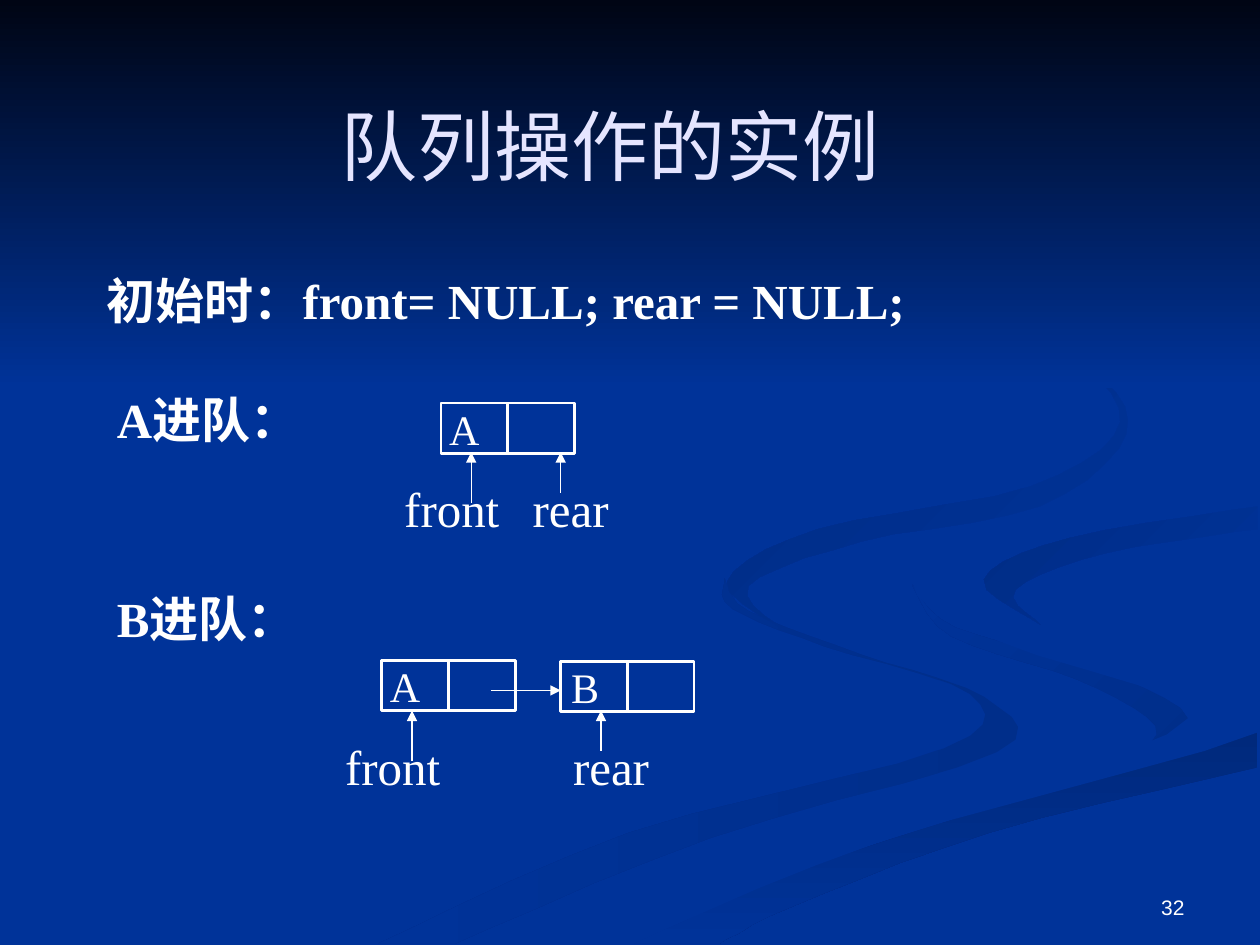
from lxml.etree import SubElement
from pptx import Presentation
from pptx.dml.color import RGBColor
from pptx.enum.shapes import MSO_CONNECTOR, MSO_SHAPE
from pptx.enum.text import MSO_ANCHOR, PP_ALIGN
from pptx.oxml.ns import qn
from pptx.util import Emu, Pt

PIXEL = 9144
WHITE = "FFFFFF"
BLUE = "003399"
SERIF = "Times New Roman"
CELL_WIDTH, CELL_HEIGHT = 53, 40
CURVE_STEPS = 5

POINTERS = {"front": (102, 63, 24), "rear": (94, 32, 16)}

RIBBONS = [
    ("002E8A", BLUE, 180,
     [(575, 459), (594, 485), (682, 519), (781, 553), (791, 597), (564, 665), (361, 749)],
     [(300, 749), (499, 661), (749, 594), (770, 551), (654, 513), (581, 483), (575, 459)]),
    ("002E8A", BLUE, 225,
     [(724, 464), (758, 498), (870, 530), (943, 570), (894, 605)],
     [(894, 605), (917, 576), (854, 539), (755, 505), (724, 464)]),
    ("00297C", BLUE, 90,
     [(503, 749), (630, 693), (797, 638), (998, 581)],
     [(998, 609), (785, 661), (630, 719), (571, 749)]),
    (BLUE, BLUE, 0,
     [(999, 387), (808, 417), (725, 464), (793, 509), (943, 570), (743, 643), (477, 749)],
     [(503, 749), (696, 669), (999, 581), (999, 538), (804, 485), (811, 437), (999, 402)]),
    (BLUE, "002C85", 225,
     [(998, 402), (849, 427), (781, 460), (826, 496)],
     [(826, 496), (806, 468), (878, 439), (998, 420)]),
    (BLUE, "002B81", 225,
     [(762, 233), (864, 291), (894, 344), (825, 402), (683, 430), (594, 465), (622, 500)],
     [(622, 500), (577, 462), (649, 420), (818, 386), (889, 335), (846, 279), (762, 233)]),
]


def px(length):
    return Emu(length * PIXEL)


def color(value):
    return RGBColor.from_string(value)


def smooth_curve(knots):
    padded = [knots[0], *knots, knots[-1]]
    points = []
    for before, start, end, after in zip(padded, padded[1:], padded[2:], padded[3:]):
        for step in range(CURVE_STEPS):
            t = step / CURVE_STEPS
            points.append(tuple(
                round(b + t * ((c - a) + t * (2 * a - 5 * b + 4 * c - d
                                             + t * (3 * b - 3 * c + d - a))) / 2)
                for a, b, c, d in zip(before, start, end, after)))
    return points + [knots[-1]]


def format_text(shape, text, size, font=SERIF, fill=WHITE, bold=False,
                align=PP_ALIGN.LEFT, anchor=MSO_ANCHOR.TOP):
    frame = shape.text_frame
    frame.word_wrap = True
    frame.vertical_anchor = anchor
    para = frame.paragraphs[0]
    para.text = text
    para.alignment = align
    para.font.size = Pt(size)
    para.font.name = font
    para.font.bold = bold
    para.font.color.rgb = color(fill)


def add_text(page, box, text, size, **style):
    shape = page.shapes.add_textbox(*map(px, box))
    format_text(shape, text, size, **style)
    return shape


def add_arrow(page, start, end):
    arrow = page.shapes.add_connector(
        MSO_CONNECTOR.STRAIGHT, *map(px, (*start, *end)))
    arrow.line.color.rgb = color(WHITE)
    arrow.line.width = Pt(0.75)
    SubElement(arrow.line._get_or_add_ln(), qn("a:tailEnd"), type="triangle")
    SubElement(arrow.element.spPr, qn("a:effectLst"))


def paint_gradient(shape, first, last, angle):
    shape.shadow.inherit = False
    shape.line.fill.background()
    shape.fill.gradient()
    shape.fill.gradient_angle = (360 - angle) % 360
    for stop, value in zip(shape.fill.gradient_stops, (first, last)):
        stop.color.rgb = color(value)


def add_ribbon(page, first, last, angle, outer_edge, inner_edge):
    points = smooth_curve(outer_edge) + smooth_curve(inner_edge)
    builder = page.shapes.build_freeform(*points[0], scale=PIXEL)
    builder.add_line_segments(points[1:], close=True)
    paint_gradient(builder.convert_to_shape(), first, last, angle)


def add_backdrop(page):
    page.background.fill.solid()
    page.background.fill.fore_color.rgb = color(BLUE)
    for ribbon in RIBBONS:
        add_ribbon(page, *ribbon)
    band = page.shapes.add_shape(MSO_SHAPE.RECTANGLE, *map(px, (0, 0, 1000, 308)))
    paint_gradient(band, "000514", BLUE, 90)


def add_title(page, box, text):
    title = page.shapes.title
    title.left, title.top, title.width, title.height = map(px, box)
    format_text(title, text, 44, fill="E5E5FF", align=PP_ALIGN.CENTER,
                anchor=MSO_ANCHOR.MIDDLE)
    title.element.getparent().append(title.element)


def add_node(page, left, top, letter):
    for column in range(2):
        cell = page.shapes.add_shape(
            MSO_SHAPE.RECTANGLE, px(left + column * CELL_WIDTH), px(top),
            px(CELL_WIDTH), px(CELL_HEIGHT))
        cell.shadow.inherit = False
        cell.fill.background()
        cell.line.color.rgb = color(WHITE)
        cell.line.width = Pt(1.5)
    label = add_text(page, (left, top, 55, CELL_HEIGHT), f" {letter}", 24)
    frame = label.text_frame
    frame.margin_left = frame.margin_right = 0
    frame.margin_top = frame.margin_bottom = 0


def add_pointer(page, left, top, name):
    width, stem, tail = POINTERS[name]
    add_text(page, (left, top, width, 57), name, 28)
    add_arrow(page, (left + stem, top + tail), (left + stem, top - 16))


def add_first_queue(page, left, top):
    add_node(page, left + 39, top, "A")
    add_pointer(page, left, top + 55, "front")
    add_pointer(page, left + 102, top + 55, "rear")


def add_second_queue(page, left, top):
    add_node(page, left + 39, top, "A")
    add_node(page, left + 181, top + 1, "B")
    add_pointer(page, left, top + 56, "front")
    add_pointer(page, left + 181, top + 56, "rear")
    add_arrow(page, (left + 126, top + 24), (left + 181, top + 24))


def main():
    deck = Presentation()
    deck.slide_width, deck.slide_height = px(1000), px(750)
    page = deck.slides.add_slide(deck.slide_layouts[5])
    add_backdrop(page)
    add_title(page, (59, 52, 850, 125), "队列操作的实例")
    add_text(page, (75, 210, 732, 57), "初始时：front= NULL; rear = NULL;", 28, bold=True)
    add_text(page, (83, 304, 575, 57), "A进队：", 28, bold=True)
    add_first_queue(page, 311, 320)
    add_text(page, (83, 462, 575, 57), "B进队：", 28, bold=True)
    add_second_queue(page, 264, 524)
    add_text(page, (717, 683, 233, 52), "32", 12, font="Arial",
             align=PP_ALIGN.RIGHT, anchor=MSO_ANCHOR.BOTTOM)
    deck.save("out.pptx")


if __name__ == "__main__":
    main()
